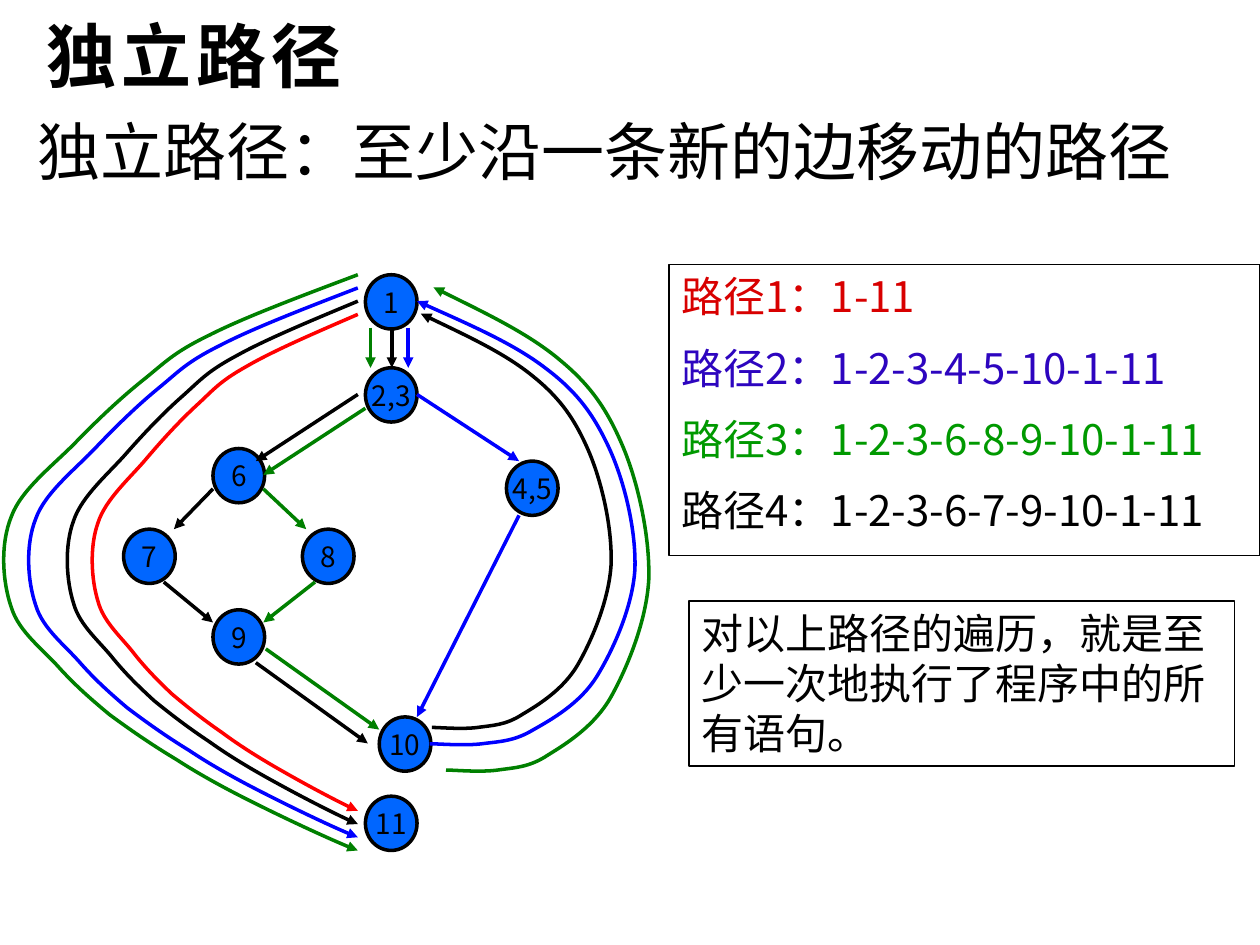
from lxml.etree import SubElement
from pptx import Presentation
from pptx.dml.color import RGBColor as Color
from pptx.enum.shapes import MSO_CONNECTOR as Connector, MSO_SHAPE as Preset
from pptx.enum.text import MSO_ANCHOR as Anchor, MSO_AUTO_SIZE as AutoSize, PP_ALIGN as Align
from pptx.oxml.ns import qn
from pptx.util import Pt

THEME = {
    "black": "000000", "blue": "0000FF", "green": "008000", "red": "FF0000", "node": "0066FF",
    "path 1": "D80000", "path 2": "2D05BF", "path 3": "009900",
    "title": 40, "definition": 36, "body": 24, "label": 16,
    "edge": 2, "frame": 0.75, "para gap": 12, "tracking": 3,
    "title font": "Arial", "text font": "DejaVu Sans", "cjk font": "Noto Sans CJK SC",
}

TITLE = "独立路径"
DEFINITION = "独立路径：至少沿一条新的边移动的路径"
PATHS = [
    ("路径1：1-11", "path 1"),
    ("路径2：1-2-3-4-5-10-1-11", "path 2"),
    ("路径3：1-2-3-6-8-9-10-1-11", "path 3"),
    ("路径4：1-2-3-6-7-9-10-1-11", "black"),
]
CONCLUSION = "对以上路径的遍历，就是至少一次地执行了程序中的所有语句。"

NODE_SIZE = (29.5, 31)
NODES = {
    "1": (208.8, 157), "7": (70.6, 302.4), "6": (121.7, 256.3),
    "2,3": (208.8, 210.2), "8": (172.8, 302.4), "9": (121.7, 348.5),
    "10": (216.7, 409.7), "11": (208.8, 455), "4,5": (289.4, 263.5),
}
EDGES = [
    ("black", (223.9, 187.2), (223.9, 210.2)),
    ("blue", (233.3, 187.2), (233.3, 210.2)),
    ("green", (211.7, 187.2), (211.7, 210.2)),
    ("green", (208.8, 233.3), (150.5, 271.4)),
    ("black", (204.5, 225.4), (146.2, 263.5)),
    ("blue", (238.3, 225.4), (296.6, 263.5)),
    ("black", (121.7, 279.4), (99.4, 302.4)),
    ("black", (93.6, 332.6), (121.7, 355.7)),
    ("green", (180, 332.6), (150.5, 355.7)),
    ("green", (150.5, 279.4), (175, 302.4)),
    ("green", (151.9, 370.8), (216.7, 416.9)),
    ("black", (146.2, 378.7), (210.2, 424.8)),
    ("blue", (296.6, 294.5), (238.3, 409.7)),
]

EXIT_CURVE = [
    (100, 0),
    (84.2, 3.7), (68.3, 7.4), (58.5, 10.5),
    (48.2, 13.6), (46.1, 15.3), (39.8, 18.4),
    (33.8, 21.4), (27.8, 24.9), (21.5, 28.9),
    (15.5, 32.8), (6, 37.2), (3.2, 42),
    (0, 46.8), (0.7, 53.4), (3.2, 57.8),
    (5.3, 62.1), (12.3, 65.2), (16.9, 68.5),
    (21.5, 71.6), (25.4, 73.7), (30.6, 76.4),
    (36.3, 79), (42.3, 81.6), (49.3, 84.2),
    (56, 86.9), (63.7, 89.5), (72.2, 92.1),
    (80.6, 94.7), (94.4, 98.7), (100, 100),
]
RETURN_CURVE = [
    (0, 0),
    (22.1, 4.9), (44.2, 9.6), (58.7, 15.1),
    (73.3, 20.5), (80.8, 25.7), (87.8, 33.2),
    (94.8, 40.8), (100, 51.7), (99.4, 60.3),
    (98.3, 68.8), (89.5, 78.4), (82, 84.4),
    (74.4, 90.4), (61.6, 94), (52.9, 96.4),
    (44.2, 99), (37.2, 99), (29.7, 99.5),
    (21.5, 100), (9.9, 99.5), (5.8, 99.5),
]
EXIT_RIGHT, EXIT_TOP, EXIT_BOTTOM, EXIT_STEP = 204.5, 157, 486, 7.55
EXITS = [("green", 0), ("blue", 14.4), ("black", 36.7), ("red", 51.1)]
RETURNS = [
    ("green", (247.7, 164.2, 123.8, 277.2)),
    ("blue", (238.3, 172.1, 125.3, 254.2)),
    ("black", (240.5, 179.3, 109.4, 237.6)),
]


def color(name):
    return Color.from_string(THEME[name])


def set_format(target, **values):
    for name, value in values.items():
        setattr(target, name, value)


def set_line(shape, name, width):
    shape.line.color.rgb = color(name)
    shape.line.width = Pt(THEME[width])


def add_arrowhead(shape, end):
    SubElement(shape._element.spPr.find(qn("a:ln")), qn(f"a:{end}End"), type="triangle")


def write(shape, lines, size, font, frame, para_format=None, **font_values):
    set_format(shape.text_frame, **frame)
    for index, (text, name) in enumerate(lines):
        para = shape.text_frame.paragraphs[0] if index == 0 else shape.text_frame.add_paragraph()
        set_format(para, space_before=Pt(THEME["para gap"] if index else 0), **(para_format or {}))
        span = para.add_run()
        span.text = text
        set_format(span.font, size=Pt(THEME[size]), name=THEME[font], **font_values)
        span.font.color.rgb = color(name)
        SubElement(span.font._element, qn("a:ea"), typeface=THEME["cjk font"])


def add_preset(shapes, preset, place, fill, width):
    shape = shapes.add_shape(preset, *map(Pt, place))
    shape.shadow.inherit = False
    if fill:
        shape.fill.solid()
        shape.fill.fore_color.rgb = color(fill)
    else:
        shape.fill.background()
    set_line(shape, "black", width)
    return shape


def add_edge(shapes, name, start, finish):
    edge = shapes.add_connector(Connector.STRAIGHT, *map(Pt, start + finish))
    set_line(edge, name, "edge")
    add_arrowhead(edge, "tail")
    SubElement(edge._element.spPr, qn("a:effectLst"))


def add_curve(shapes, curve, place, name, end):
    left, top, width, height = place
    points = [(Pt(left + width * x / 100), Pt(top + height * y / 100)) for x, y in curve]
    builder = shapes.build_freeform(*points[0])
    builder.add_line_segments(points[1:], close=False)
    shape = builder.convert_to_shape()
    shape.shadow.inherit = False
    shape.fill.background()
    set_line(shape, name, "edge")
    add_arrowhead(shape, end)
    segments = list(shape._element.iter(qn("a:lnTo")))
    outline = segments[0].getparent()
    for index in range(0, len(segments), 3):
        bezier = SubElement(outline, qn("a:cubicBezTo"))
        for segment in segments[index:index + 3]:
            bezier.append(segment[0])
            outline.remove(segment)


def main():
    deck = Presentation()
    set_format(deck, slide_width=Pt(720), slide_height=Pt(540))
    page = deck.slides.add_slide(deck.slide_layouts[6])

    wrapped = {"word_wrap": True, "vertical_anchor": Anchor.TOP, "auto_size": AutoSize.SHAPE_TO_FIT_TEXT}
    left = {"alignment": Align.LEFT}

    title = page.shapes.add_textbox(*map(Pt, (19.4, 3.6, 648, 55.4)))
    write(title, [(TITLE, "black")], "title", "title font",
          {"word_wrap": True, "vertical_anchor": Anchor.MIDDLE}, left, bold=True)
    title.text_frame.paragraphs[0].runs[0].font._element.set("spc", str(THEME["tracking"] * 100))

    definition = page.shapes.add_textbox(*map(Pt, (14.4, 60.5, 674.6, 50.4)))
    write(definition, [(DEFINITION, "black")], "definition", "text font", wrapped, left)

    legend = add_preset(page.shapes, Preset.RECTANGLE, (382.3, 151.2, 337.7, 166.3), None, "frame")
    write(legend, PATHS, "body", "cjk font", wrapped, left)

    graph = page.shapes.add_group_shape().shapes
    for label, corner in NODES.items():
        node = add_preset(graph, Preset.OVAL, corner + NODE_SIZE, "node", "edge")
        write(node, [(label, "black")], "label", "cjk font",
              {"word_wrap": False, "vertical_anchor": Anchor.MIDDLE}, {"alignment": Align.CENTER})
    for edge in EDGES:
        add_edge(graph, *edge)
    for index, (name, start) in enumerate(EXITS):
        inset = index * EXIT_STEP
        place = (start, EXIT_TOP + inset, EXIT_RIGHT - start, EXIT_BOTTOM - EXIT_TOP - 2 * inset)
        add_curve(graph, EXIT_CURVE, place, name, "tail")
    for name, place in RETURNS:
        add_curve(graph, RETURN_CURVE, place, name, "head")

    conclusion = add_preset(page.shapes, Preset.RECTANGLE, (393.8, 343.4, 311.8, 94.3), None, "frame")
    write(conclusion, [(CONCLUSION, "black")], "body", "text font", wrapped, left)

    deck.save("out.pptx")


if __name__ == "__main__":
    main()
